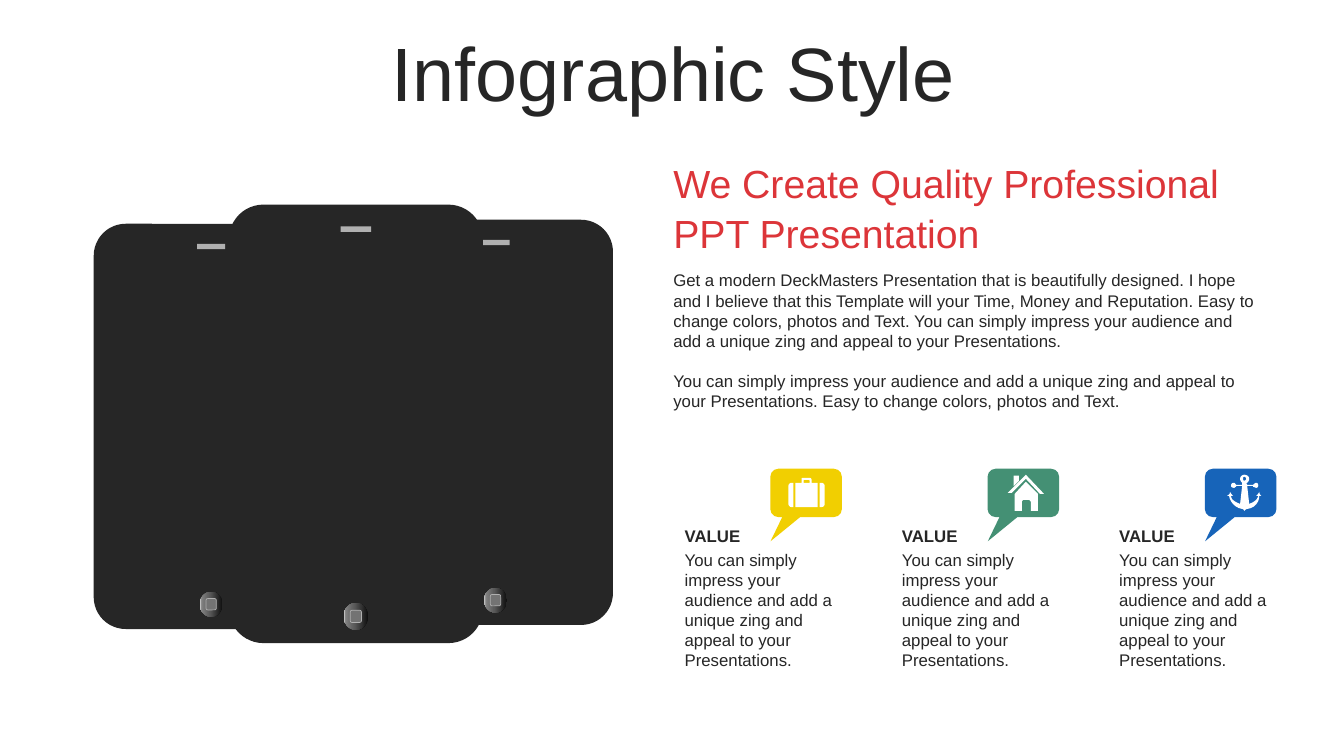
from lxml import etree
from pptx import Presentation
from pptx import util as u
from pptx.dml import color
from pptx.enum import shapes, text
from pptx.oxml import ns

COLORS = {"ink": "262626", "bar": "B0B0B0", "key": "737373", "red": "DC3539", "white": "FFFFFF",
          "yellow": "F1CF01", "green": "449074", "blue": "1764B9"}
BUTTON_STOPS = [(0, "0F0F0F"), (56, "595959"), (91, "808080"), (100, "BFBFBF")]
FONT = "Arial"

# Icon outlines in hundredths of an inch: M move, L line, C cubic curve, Z close
SUITCASE = """M 31 5 L 33 5 C 35 5 36 7 36 8 L 36 26 C 36 27 35 29 33 29 L 31 29 Z
M 3 5 L 5 5 L 5 29 L 3 29 C 1 29 0 27 0 26 L 0 8 C 0 7 1 5 3 5 Z
M 16 2 C 15 2 15 3 15 3 L 15 5 L 21 5 L 21 3 C 21 3 21 2 20 2 Z
M 14 0 L 21 0 C 22 0 23 1 23 2 L 23 5 L 29 5 L 29 29 L 7 29 L 7 5 L 13 5 L 13 2 C 13 1 13 0 14 0 Z"""
HOUSE = """M 18 7 L 30 19 L 30 36 L 23 36 L 23 28 C 23 26 22 25 20 25 L 16 25
C 15 25 14 26 14 28 L 14 36 L 7 36 L 7 19 Z
M 6 1 L 11 1 L 11 6 L 6 11 Z M 18 0 L 36 19 L 32 19 L 18 4 L 4 18 L 0 18 Z"""
ANCHOR = """M 17 2 C 16 2 16 3 16 4 C 16 5 16 6 17 6 C 18 6 19 5 19 4 C 19 3 18 2 17 2 Z
M 17 0 C 20 0 22 2 22 4 C 22 6 21 7 20 8 L 19 8 L 20 10 L 26 10 C 27 9 28 8 29 8
C 30 8 31 9 31 11 C 31 12 30 13 29 13 C 28 13 27 12 26 12 L 26 11 L 20 11 L 22 29
C 27 27 30 25 31 21 C 30 21 29 21 29 21 C 30 20 31 19 32 17 C 32 19 33 20 34 21
C 34 21 33 21 32 21 C 32 27 28 33 20 34 C 19 34 18 35 17 36 C 17 35 16 34 15 34
C 8 33 3 27 2 21 C 2 21 1 21 0 21 C 2 20 3 19 3 17 C 4 19 5 20 6 21 C 5 21 5 21 4 21
C 4 25 8 27 13 29 L 15 11 L 9 11 L 9 12 C 8 12 8 13 7 13 C 5 13 4 12 4 11
C 4 9 5 8 7 8 C 8 8 8 9 9 10 L 15 10 L 15 8 C 14 7 13 6 13 4 C 13 2 15 0 17 0 Z"""


def rgb(name):
    return color.RGBColor.from_string(COLORS[name])


def paint(shape, fill):
    shape.shadow.inherit = False
    shape.fill.solid()
    shape.fill.fore_color.rgb = rgb(fill)
    shape.line.fill.background()
    return shape


def add_centred(slide, kind, centre_x, centre_y, width, height, fill):
    """Place a filled shape around a centre point."""
    shape = slide.shapes.add_shape(kind, u.Inches(centre_x - width / 2), u.Inches(centre_y - height / 2),
                                   u.Inches(width), u.Inches(height))
    return paint(shape, fill)


def write(frame, lines, size, ink="ink", bold=False):
    frame.word_wrap = True
    frame.text = "\n".join(lines)
    for paragraph in frame.paragraphs:
        for run in paragraph.runs:
            run.font.name = FONT
            run.font.size = u.Pt(size)
            run.font.bold = bold
            run.font.color.rgb = rgb(ink)
    return frame


def add_text(slide, box, lines, size, ink="ink", bold=False, inset=True):
    frame = slide.shapes.add_textbox(*map(u.Inches, box)).text_frame
    if not inset:
        frame.margin_left = frame.margin_right = frame.margin_top = frame.margin_bottom = 0
    return write(frame, lines, size, ink, bold)


def shade_button(shape):
    """Four-stop horizontal gradient."""
    shape.fill.gradient()
    shape.fill.gradient_angle = 180
    stops = shape.element.spPr.find(ns.qn("a:gradFill")).find(ns.qn("a:gsLst"))
    for stop in list(stops):
        stops.remove(stop)
    for position, value in BUTTON_STOPS:
        stop = etree.SubElement(stops, ns.qn("a:gs"), pos=str(position * 1000))
        etree.SubElement(stop, ns.qn("a:srgbClr"), val=value)


def add_phone(slide, left, top, width, height):
    middle = left + width / 2
    rounded = shapes.MSO_SHAPE.ROUNDED_RECTANGLE
    body = add_centred(slide, rounded, middle, top + height / 2, width, height, "ink")
    body.adjustments[0] = 0.136
    # Speaker bar and home button
    add_centred(slide, shapes.MSO_SHAPE.RECTANGLE, middle, top + 0.056 * height,
                0.12 * width, 0.013 * height, "bar")
    button_y = top + 0.939 * height
    button = add_centred(slide, shapes.MSO_SHAPE.OVAL, middle, button_y, 0.097 * width, 0.062 * height, "ink")
    shade_button(button)
    key = add_centred(slide, rounded, middle, button_y, 0.044 * width, 0.028 * height, "key")
    key.line.color.rgb = rgb("bar")
    key.line.width = u.Pt(0.5)


def outline_contours(outline, steps=6):
    """Turn an outline string into lists of points, sampling the curves."""
    contours, tokens = [], iter(outline.split())
    for command in tokens:
        if command == "Z":
            continue
        count = 3 if command == "C" else 1
        points = [(float(next(tokens)), float(next(tokens))) for _ in range(count)]
        if command == "M":
            contours.append(points)
        elif command == "L":
            contours[-1] += points
        else:
            controls = [contours[-1][-1]] + points
            for step in range(1, steps + 1):
                t = step / steps
                weights = ((1 - t) ** 3, 3 * t * (1 - t) ** 2, 3 * t * t * (1 - t), t ** 3)
                contours[-1].append(tuple(sum(w * p[axis] for w, p in zip(weights, controls))
                                          for axis in (0, 1)))
    return contours


def add_icon(slide, left, top, outline):
    builder = None
    for contour in outline_contours(outline):
        points = [(u.Inches(left + x / 100), u.Inches(top + y / 100)) for x, y in contour]
        if builder is None:
            builder = slide.shapes.build_freeform(*points[0])
        else:
            builder.move_to(*points[0])
        builder.add_line_segments(points[1:], close=True)
    paint(builder.convert_to_shape(), "white")


def add_value(slide, left, top, fill, outline, icon_x, icon_y):
    # Speech bubble with its icon
    bubble_left = left + 0.85
    bubble = add_centred(slide, shapes.MSO_SHAPE.ROUNDED_RECTANGULAR_CALLOUT,
                         bubble_left + 0.355, top + 0.24, 0.71, 0.48, fill)
    for index, value in enumerate((-0.497, 1, 0.167)):
        bubble.adjustments[index] = value
    add_icon(slide, bubble_left + icon_x, top + icon_y, outline)
    # Heading and text
    add_text(slide, (left, top + 0.57, 1.52, 0.2), ["VALUE"], 12, bold=True, inset=False)
    add_text(slide, (left, top + 0.8, 1.51, 1.21),
             ["You can simply impress your audience and add a unique zing and appeal to your Presentations."],
             12, inset=False)


def add_title(slide, left, top, width, height):
    title = slide.shapes.title
    title.left, title.top, title.width, title.height = map(u.Inches, (left, top, width, height))
    frame = write(title.text_frame, ["Infographic Style"], 54)
    frame.vertical_anchor = text.MSO_ANCHOR.MIDDLE
    paragraph = frame.paragraphs[0]
    paragraph.alignment = text.PP_ALIGN.CENTER
    paragraph.line_spacing = 0.9
    paragraph.space_before = u.Pt(10)


def add_message(slide, left, top, width):
    heading = add_text(slide, (left, top, width, 0.9),
                       ["We Create Quality Professional", "PPT Presentation"], 28, "red")
    heading.vertical_anchor = text.MSO_ANCHOR.MIDDLE
    for paragraph in heading.paragraphs:
        paragraph.line_spacing = u.Pt(30)
        paragraph.space_before = u.Pt(5.6)
    body = add_text(slide, (left, top + 0.99, width, 1.51), [
        "Get a modern DeckMasters Presentation that is beautifully designed. I hope and I believe that this "
        "Template will your Time, Money and Reputation. Easy to change colors, photos and Text. You can simply "
        "impress your audience and add a unique zing and appeal to your Presentations.",
        "You can simply impress your audience and add a unique zing and appeal to your Presentations. "
        "Easy to change colors, photos and Text."], 12)
    body.paragraphs[1].space_before = u.Pt(14.5)


def main():
    presentation = Presentation()
    presentation.slide_width, presentation.slide_height = u.Inches(13.33), u.Inches(7.5)
    slide = presentation.slides.add_slide(presentation.slide_layouts[5])
    add_title(slide, 0.35, 0.37, 12.66, 0.79)
    # Phones, the middle one in front
    for box in ((0.93, 2.22, 2.33, 4.02), (3.75, 2.18, 2.33, 4.02), (2.27, 2.03, 2.52, 4.35)):
        add_phone(slide, *box)
    add_message(slide, 6.58, 1.64, 6.03)
    # Three values in equal columns
    values = (("yellow", SUITCASE, 0.18, 0.09), ("green", HOUSE, 0.2, 0.06), ("blue", ANCHOR, 0.22, 0.06))
    for column, value in enumerate(values):
        add_value(slide, 6.79 + column * 2.155, 4.65, *value)
    presentation.save("out.pptx")


if __name__ == "__main__":
    main()
